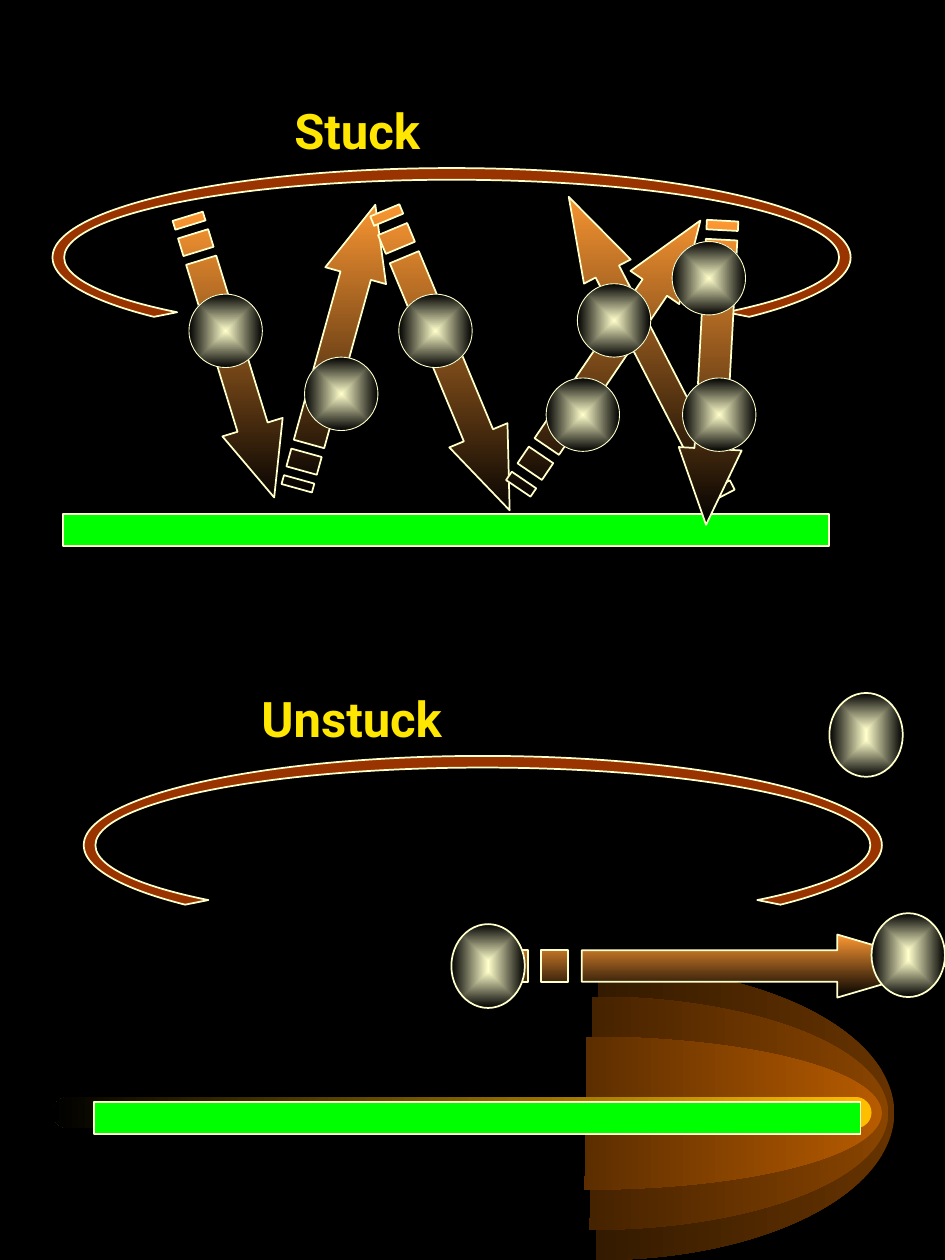
"""Build the stuck and unstuck ball slide."""
from pptx import Presentation
from pptx import oxml
from pptx.dml import color
from pptx.enum import shapes as kinds
from pptx.enum import text
from pptx.oxml import ns
from pptx.util import Cm, Pt

KIND = kinds.MSO_SHAPE
CREAM, BLACK, AMBER = "FFFFCC", "000000", "FF9933"

DOMES = [
    (6.12, 19.47, 11.91, 5.93, 91, "663300"),
    (5.97, 20.09, 11.94, 4.7, 91.2, "894400"),
    (5.87, 20.9, 11.91, 3.08, 91.4, "B75B00"),
]
GLOW = (1.06, 22.12, 16.51, 0.62)
SCENES = [(1.06, 3.39), (1.69, 15.24)]
ARROWS = [
    (3.81, 6.35, 5.93, 1.27, 285.5),
    (5.74, 6.63, 6.55, 1.27, 67.4),
    (9.02, 6.55, 6.53, 1.19, 304.2),
    (1.69, 6.56, 5.93, 1.27, 72.9),
    (9.63, 6.45, 6.78, 1.06, 242.7),
    (11.33, 6.88, 6.14, 1.27, 93.1),
    (10.37, 18.84, 8.68, 1.27, 0),
]
SMALL = [(3.81, 5.93), (8.04, 5.93), (6.14, 7.2), (13.55, 4.87),
         (11.01, 7.62), (13.76, 7.62), (11.64, 5.72)]
LARGE = [(9.1, 18.63), (17.57, 18.41), (16.72, 13.97)]
TITLES = [
    ("Unstuck", 1.69, 13.76, 10.8, 2.12),
    ("Stuck", 2.12, 1.91, 10.16, 0.64),
]


def rgb(code):
    return color.RGBColor.from_string(code)


def blend(first, last, angle=None):
    if angle is None:
        way = ('<a:path path="rect"><a:fillToRect l="50000" t="50000" '
               'r="50000" b="50000"/></a:path>')
    else:
        way = f'<a:lin ang="{angle * 60000}" scaled="0"/>'
    stops = "".join(
        f'<a:gs pos="{pos}"><a:srgbClr val="{code}"/></a:gs>'
        for pos, code in ((0, first), (100000, last)))
    return oxml.parse_xml(
        f'<a:gradFill {ns.nsdecls("a")} rotWithShape="0">'
        f'<a:gsLst>{stops}</a:gsLst>{way}</a:gradFill>')


def paint(item, fill, edge=None):
    item.shadow.inherit = False
    if isinstance(fill, str):
        item.fill.solid()
        item.fill.fore_color.rgb = rgb(fill)
    else:
        item.fill.background()
        props = item.element.spPr
        props.replace(props.find(ns.qn("a:noFill")), fill)
    if edge:
        item.line.color.rgb = rgb(CREAM)
        item.line.width = Pt(edge)
    else:
        item.line.fill.background()


def place(pool, kind, box, fill, edge=None, adjust=()):
    item = pool.add_shape(kind, *map(Cm, box))
    for spot, value in enumerate(adjust):
        item.adjustments[spot] = value
    paint(item, fill, edge)


def arrow(pool, left, top, wide, high, turn):
    def spot(across, down):
        return Cm(left + wide * across), Cm(top + high * down)

    body = [(5 / 32, 1 / 4), (3 / 4, 1 / 4), (3 / 4, 0), (1, 1 / 2),
            (3 / 4, 1), (3 / 4, 3 / 4), (5 / 32, 3 / 4)]
    bars = [[(a, 1 / 4), (b, 1 / 4), (b, 3 / 4), (a, 3 / 4)]
            for a, b in ((0, 1 / 32), (1 / 16, 1 / 8))]
    pen = pool.build_freeform(*spot(*body[0]))
    pen.add_line_segments([spot(*p) for p in body[1:]], close=True)
    for bar in bars:
        pen.move_to(*spot(*bar[0]))
        pen.add_line_segments([spot(*p) for p in bar[1:]], close=True)
    item = pen.convert_to_shape()
    item.rotation = turn
    paint(item, blend(AMBER, BLACK, 90), 1)


def title(pool, word, *box):
    frame = pool.add_textbox(*map(Cm, box)).text_frame
    frame.word_wrap = False
    para = frame.paragraphs[0]
    para.alignment = text.PP_ALIGN.CENTER
    run = para.add_run()
    run.text = word
    font = run.font
    font.size, font.bold, font.name = Pt(28), True, "Roboto"
    props = run._r.get_or_add_rPr()
    props.insert(0, blend("FFE701", "FE3E02", 90))
    props.insert(0, oxml.parse_xml(
        f'<a:ln {ns.nsdecls("a")} w="{Pt(0.75)}"><a:solidFill>'
        f'<a:srgbClr val="{BLACK}"/></a:solidFill></a:ln>'))


def main():
    deck = Presentation()
    deck.slide_width, deck.slide_height = Cm(19.05), Cm(25.4)
    slide = deck.slides.add_slide(deck.slide_layouts[6])
    slide.background.fill.solid()
    slide.background.fill.fore_color.rgb = rgb(BLACK)
    pool = slide.shapes
    for *box, end, tint in DOMES:
        place(pool, KIND.ARC, box, blend(tint, BLACK, 180),
              adjust=(162, end * 0.6))
    place(pool, KIND.ROUNDED_RECTANGLE, GLOW, blend("FFBF00", BLACK, 180),
          adjust=(0.5,))
    for left, top in SCENES:
        place(pool, KIND.BLOCK_ARC, (left, top, 16.09, 3.6), "993300", 1,
              (101.22, 6.78, 0.065))
        place(pool, KIND.RECTANGLE, (left + 0.21, top + 6.98, 15.45, 0.64),
              "00FF00", 1)
    for row in ARROWS:
        arrow(pool, *row)
    for spots, high, edge in ((SMALL, 1.48, 0.5), (LARGE, 1.69, 1)):
        for left, top in spots:
            place(pool, KIND.OVAL, (left, top, 1.48, high),
                  blend(CREAM, BLACK), edge)
    for row in TITLES:
        title(pool, *row)
    deck.save("out.pptx")


if __name__ == "__main__":
    main()
